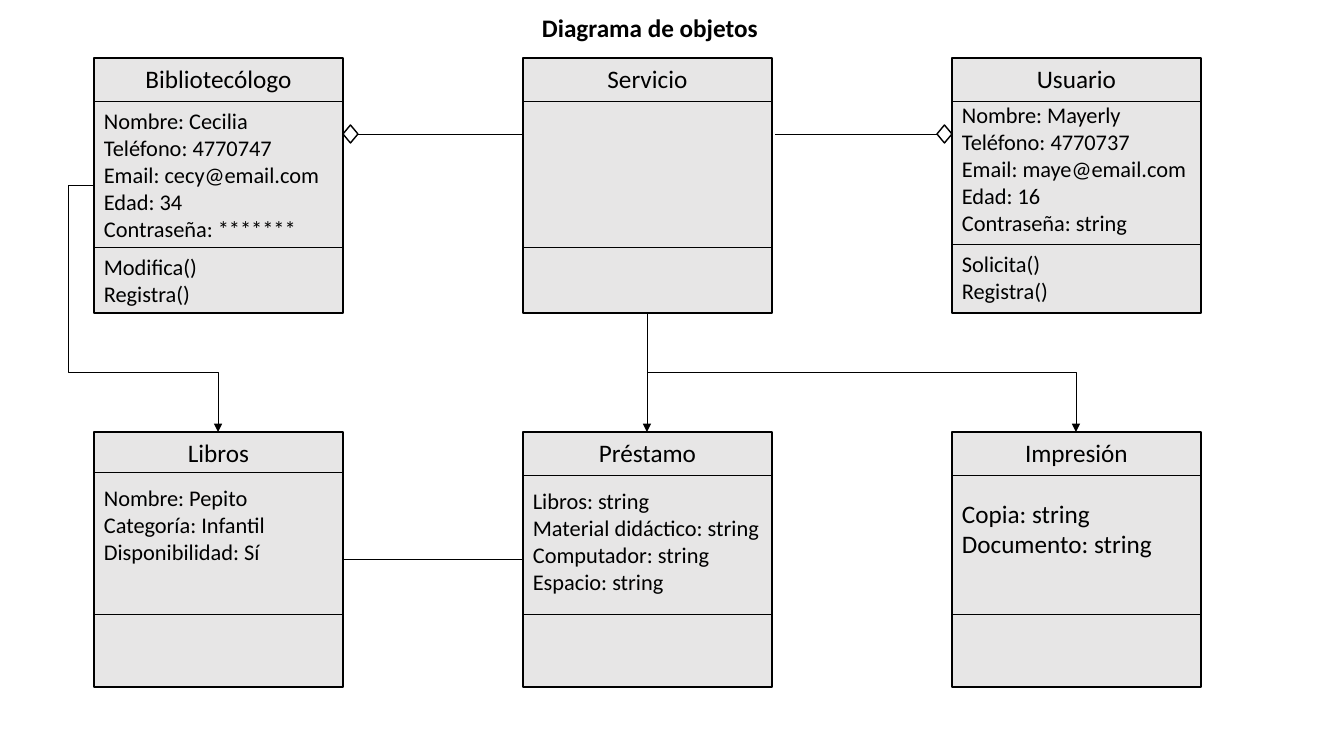
"""Builds the library object diagram slide."""
from lxml.etree import SubElement
from pptx import Presentation
from pptx.dml.color import RGBColor
from pptx.enum.shapes import MSO_CONNECTOR as LINK, MSO_SHAPE as SHAPE
from pptx.enum.text import MSO_ANCHOR as ANCHOR, PP_ALIGN as ALIGN
from pptx.oxml.ns import qn
from pptx.util import Pt

HEADING = "Diagrama de objetos"
OBJECTS = [
    dict(name="Bibliotecólogo", column=0, row=0, dividers=(101, 247), size=16, groups=[
        (10, ["Nombre: Cecilia", "Teléfono: 4770747", "Email: cecy@email.com",
              "Edad: 34", "Contraseña: *******"]),
        (8.5, ["Modifica()", "Registra()"])]),
    dict(name="Servicio", column=1, row=0, dividers=(101, 247), size=16, groups=[]),
    dict(name="Usuario", column=2, row=0, dividers=(101, 244), size=16, groups=[
        (6, ["Nombre: Mayerly", "Teléfono: 4770737", "Email: maye@email.com",
             "Edad: 16", "Contraseña: string"]),
        (10, ["Solicita()", "Registra()"])]),
    dict(name="Libros", column=0, row=1, dividers=(472, 614), size=16, groups=[
        (12, ["Nombre: Pepito", "Categoría: Infantil", "Disponibilidad: Sí"])]),
    dict(name="Préstamo", column=1, row=1, dividers=(475, 614), size=16, groups=[
        (14.5, ["Libros: string", "Material didáctico: string",
                "Computador: string", "Espacio: string"])]),
    dict(name="Impresión", column=2, row=1, dividers=(475, 614), size=18, groups=[
        (22, ["Copia: string", "Documento: string"])]),
]
LEFT, PITCH, WIDTH, HEIGHT = 94, 429, 249, 255
TOPS = 58, 432
COLUMNS = [LEFT + PITCH * i for i in range(3)]
MIDDLES = [x + WIDTH // 2 for x in COLUMNS]
SERVICE_BOTTOM = TOPS[0] + HEIGHT
DIAMOND_W, DIAMOND_H, JOIN_Y, LOAN_Y, LEAVE_Y = 15, 18, 134, 559, 185
BLACK, WHITE, GREY = "000000", "FFFFFF", "E7E6E6"

deck = Presentation()


def px(pixels):
    return round(pixels * 914400 / 100.8)


def color(code):
    return RGBColor.from_string(code)


deck.slide_width, deck.slide_height = px(1344), px(756)
slide = deck.slides.add_slide(deck.slide_layouts[6])


def box(kind, x, y, w, h, fill, line):
    shape = slide.shapes.add_shape(kind, px(x), px(y), px(w), px(h))
    shape.shadow.inherit = False
    shape.fill.solid()
    shape.fill.fore_color.rgb = color(fill)
    shape.line.color.rgb = color(line)
    shape.line.width = Pt(1)
    return shape


def write(paragraph, text, size, align, before=0, bold=False):
    paragraph.alignment = align
    paragraph.space_before = Pt(before)
    run = paragraph.add_run()
    run.text = text
    run.font.name, run.font.size, run.font.bold = "Calibri", Pt(size), bold
    run.font.color.rgb = color(BLACK)


def link(x1, y1, x2, y2, kind=LINK.STRAIGHT, arrow=False):
    line = slide.shapes.add_connector(kind, px(x1), px(y1), px(x2), px(y2))
    line.line.color.rgb = color(BLACK)
    line.line.width = Pt(0.5)
    properties = line._element.spPr
    if arrow:
        SubElement(properties.find(qn("a:ln")), qn("a:tailEnd"), type="triangle")
    SubElement(properties, qn("a:effectLst"))
    return properties


heading = box(SHAPE.RECTANGLE, COLUMNS[1], 6, 254, 42, WHITE, WHITE).text_frame
heading.vertical_anchor = ANCHOR.MIDDLE
write(heading.paragraphs[0], HEADING, 18, ALIGN.CENTER, bold=True)

for item in OBJECTS:
    x, y = COLUMNS[item["column"]], TOPS[item["row"]]
    frame = box(SHAPE.RECTANGLE, x, y, WIDTH, HEIGHT, GREY, BLACK).text_frame
    frame.word_wrap = True
    frame.vertical_anchor = ANCHOR.TOP
    write(frame.paragraphs[0], item["name"], 18, ALIGN.CENTER)
    for gap, members in item["groups"]:
        for i, member in enumerate(members):
            write(frame.add_paragraph(), member, item["size"], ALIGN.LEFT, 0 if i else gap)
    for divider in item["dividers"]:
        link(x, divider, x + WIDTH, divider)

librarian_right = COLUMNS[0] + WIDTH
for x in (librarian_right, COLUMNS[2] - DIAMOND_W):
    box(SHAPE.DIAMOND, x, JOIN_Y - DIAMOND_H // 2, DIAMOND_W, DIAMOND_H, WHITE, BLACK)
link(librarian_right + DIAMOND_W, JOIN_Y, COLUMNS[1], JOIN_Y)
link(COLUMNS[1] + WIDTH + 3, JOIN_Y, COLUMNS[2] - DIAMOND_W, JOIN_Y)
link(librarian_right, LOAN_Y, COLUMNS[1], LOAN_Y)
link(MIDDLES[1], SERVICE_BOTTOM, MIDDLES[1], TOPS[1], arrow=True)

to_books = link(LEFT, LEAVE_Y, MIDDLES[0], TOPS[1], LINK.ELBOW, True).find(qn("a:prstGeom"))
to_books.set("prst", "bentConnector4")
guides = to_books.find(qn("a:avLst"))
for name, value in (("adj1", -20300), ("adj2", 75800)):
    SubElement(guides, qn("a:gd"), name=name, fmla=f"val {value}")

center_x, center_y = (MIDDLES[1] + MIDDLES[2]) / 2, (SERVICE_BOTTOM + TOPS[1]) / 2
half_drop, half_run = (TOPS[1] - SERVICE_BOTTOM) / 2, PITCH / 2
to_print = link(center_x + half_drop, center_y - half_run,
                center_x - half_drop, center_y + half_run, LINK.ELBOW, True)
to_print.find(qn("a:xfrm")).set("rot", str(270 * 60000))

deck.save("out.pptx")
